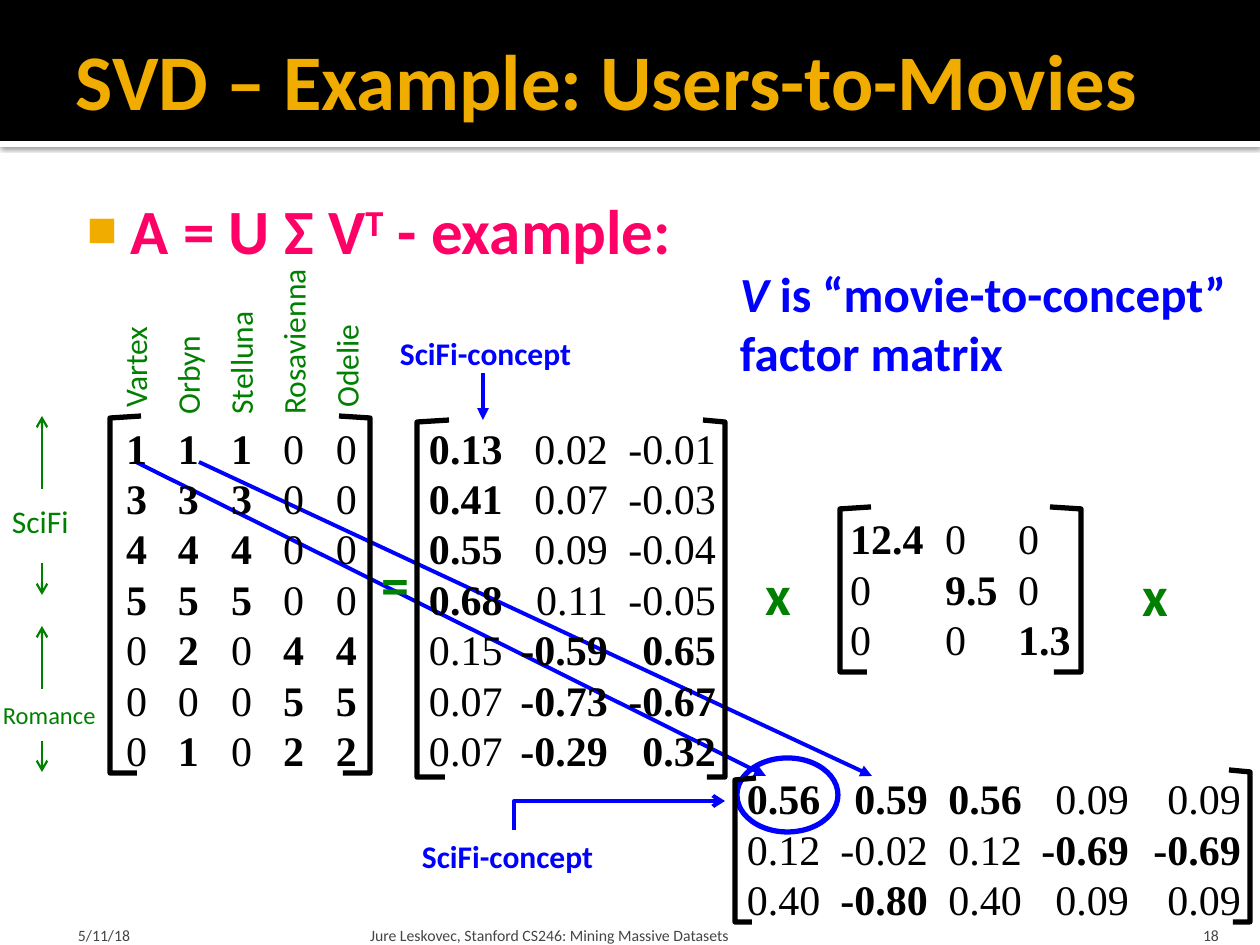
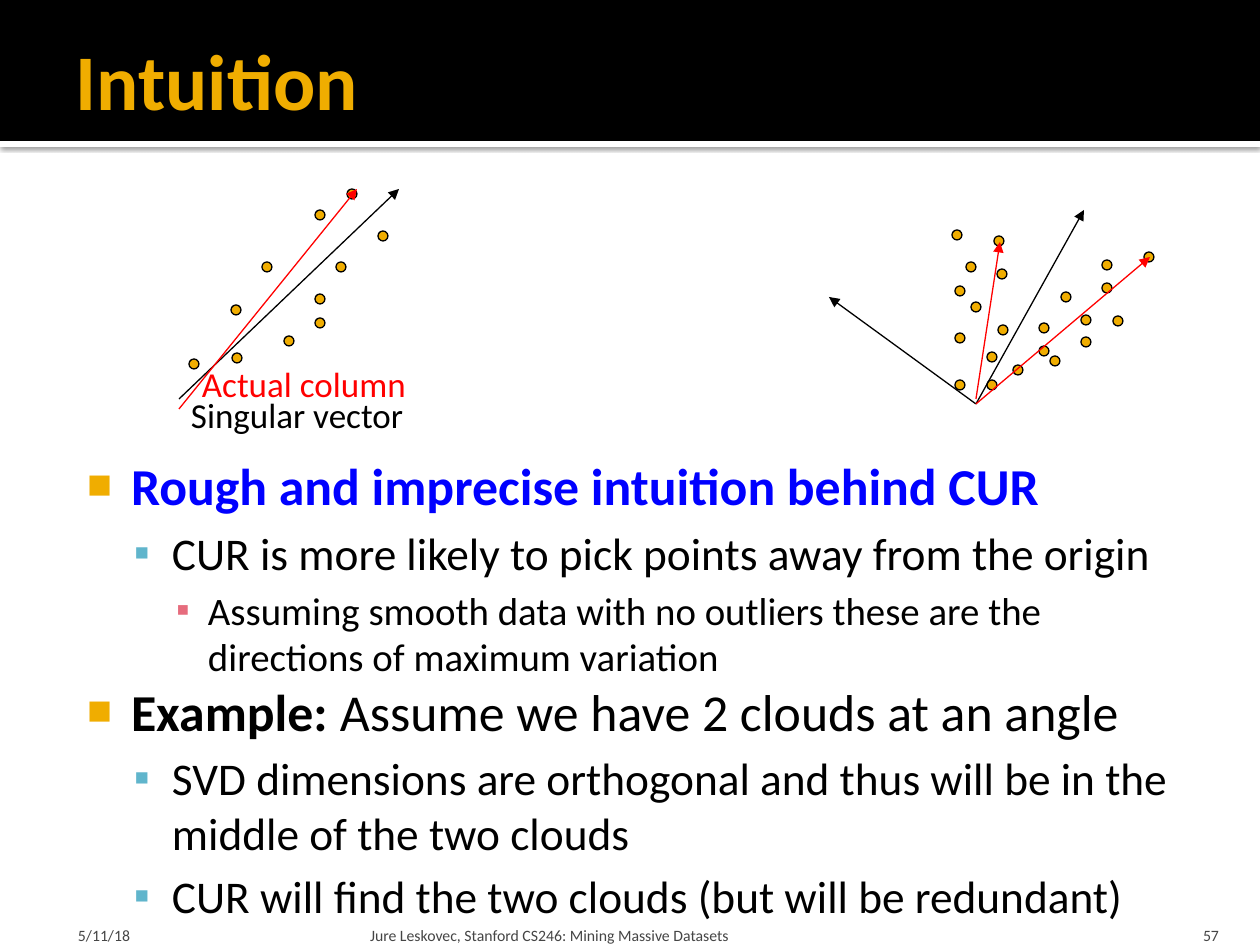
from lxml import etree
from pptx import Presentation
from pptx import util as u
from pptx.dml.color import RGBColor
from pptx.enum import shapes, text
from pptx.oxml import ns

PX = 914400 // 126
WIDTH, HEIGHT = 1260, 945

BLACK = RGBColor(0, 0, 0)
WHITE = RGBColor(255, 255, 255)
GOLD = RGBColor(0xF0, 0xAD, 0)
TEAL = RGBColor(0x60, 0xB5, 0xCC)
ROSE = RGBColor(0xE6, 0x6C, 0x7D)
PINK = RGBColor(0xFF, 0, 0x66)
BLUE = RGBColor(0, 0, 0xFF)
GREEN = RGBColor(0, 0x80, 0)
RED = RGBColor(0xFF, 0, 0)
GREY = RGBColor(0x45, 0x45, 0x45)

BODY_FONT, MATRIX_FONT = "Calibri", "Times New Roman"
TOP, MIDDLE, BOTTOM = (text.MSO_ANCHOR.TOP, text.MSO_ANCHOR.MIDDLE,
                       text.MSO_ANCHOR.BOTTOM)

# level: left margin, hanging indent, bullet, bullet colour, bullet size, space before
BULLETS = [(60, 44, "■", GOLD, 80, 0),
           (101, 38, "▪", TEAL, 100, 5),
           (137, 32, "▪", ROSE, 100, 4)]


def px(*lengths):
    return [round(length * PX) for length in lengths]


def add_xml(parent, tag, **attributes):
    return etree.SubElement(parent, ns.qn(tag), attributes)


# ---- text ----
def text_box(page, box, anchor=TOP):
    shape = page.shapes.add_textbox(*px(*box))
    frame = shape.text_frame
    frame.word_wrap = True
    frame.vertical_anchor = anchor
    frame.margin_left = frame.margin_right = 0
    frame.margin_top = frame.margin_bottom = 0
    return shape


def next_para(frame):
    first = frame.paragraphs[0]
    return frame.add_paragraph() if first.runs else first


def add_span(para, words, size, color, bold=False, italic=False, font=BODY_FONT):
    span = para.add_run()
    span.text = words
    span.font.name, span.font.size = font, u.Pt(size)
    span.font.bold, span.font.italic = bold, italic
    span.font.color.rgb = color
    return span


def label(page, box, words, size, color, bold=False, anchor=MIDDLE):
    shape = text_box(page, box, anchor)
    para = shape.text_frame.paragraphs[0]
    add_span(para, words, size, color, bold)
    return para


def bullet_para(frame, level):
    margin, hang, sign, color, percent, space = BULLETS[level]
    para = next_para(frame)
    props = para._p.get_or_add_pPr()
    props.set("marL", str(margin * PX))
    props.set("indent", str(-hang * PX))
    add_xml(add_xml(props, "a:buClr"), "a:srgbClr", val=str(color))
    add_xml(props, "a:buSzPct", val=str(percent * 1000))
    add_xml(props, "a:buFont", typeface=MATRIX_FONT)
    add_xml(props, "a:buChar", char=sign)
    if space:
        para.space_before = u.Pt(space)
    return para


# ---- lines and shapes ----
def style_line(shape, color, width, head=None):
    shape.line.color.rgb = color
    shape.line.width = u.Pt(width)
    if head:
        add_xml(shape.line._get_or_add_ln(), "a:tailEnd", type=head)


def arrow(page, start, end, color, width, head="triangle"):
    line = page.shapes.add_connector(shapes.MSO_CONNECTOR.STRAIGHT,
                                     *px(*start, *end))
    style_line(line, color, width, head)
    add_xml(line._element.spPr, "a:effectLst")


def polyline(page, points, color, width, head=None):
    start, *rest = [px(*point) for point in points]
    builder = page.shapes.build_freeform(*start, scale=1.0)
    builder.add_line_segments(rest, close=False)
    shape = builder.convert_to_shape()
    shape.fill.background()
    shape.shadow.inherit = False
    style_line(shape, color, width, head)


def preset(page, kind, box, fill=None, line=None, width=0.75):
    shape = page.shapes.add_shape(kind, *px(*box))
    shape.shadow.inherit = False
    if fill is None:
        shape.fill.background()
    else:
        shape.fill.solid()
        shape.fill.fore_color.rgb = fill
    if line is None:
        shape.line.fill.background()
    else:
        style_line(shape, line, width)
    return shape


# ---- shared frame of every slide ----
def new_page(deck, title, number):
    page = deck.slides.add_slide(deck.slide_layouts[6])
    rule = preset(page, shapes.MSO_SHAPE.RECTANGLE, (0, 141, WIDTH, 6), WHITE)
    effects = rule._element.spPr.find(ns.qn("a:effectLst"))
    shadow = add_xml(effects, "a:outerShdw", blurRad="31750", dist="10160",
                     dir="5400000", rotWithShape="0")
    add_xml(add_xml(shadow, "a:srgbClr", val="000000"), "a:alpha", val="60000")
    preset(page, shapes.MSO_SHAPE.RECTANGLE, (0, 0, WIDTH, 141), BLACK)
    label(page, (76, 17, 1115, 124), title, 45, GOLD, True)

    footer = [(78, 270, "5/11/18"),
              (370, 740, "Jure Leskovec, Stanford CS246: Mining Massive Datasets"),
              (1143, 76, str(number))]
    for left, width, words in footer:
        para = label(page, (left, 907, width, 38), words, 9, GREY, anchor=BOTTOM)
    para.alignment = text.PP_ALIGN.RIGHT
    return page


# ---- slide 18: matrix product ----
def matrix(page, box, rows, stops, align, pad, arms, left_drop=0):
    """Bracketed matrix; a cell that starts with * is bold."""
    left, top, width, height = box
    right, bottom = left + width, top + height
    for spine, side, arm, drop in ((left, 1, arms[0], left_drop),
                                   (right, -1, arms[1], 0)):
        polyline(page, [(spine + side * arm, top + drop),
                        (spine, top + drop + 2),
                        (spine, bottom),
                        (spine + side * (arm - 4), bottom)], BLACK, 3)

    frame = text_box(page, (left + pad[0], top + pad[1],
                            width - pad[0], height)).text_frame
    for row in rows:
        para = next_para(frame)
        tabs = add_xml(para._p.get_or_add_pPr(), "a:tabLst")
        for stop in stops:
            add_xml(tabs, "a:tab", pos=str(stop * PX), algn=align)
        for column, cell in enumerate(row.split()):
            words = ("\t" if column else "") + cell.lstrip("*")
            add_span(para, words, 24, BLACK, cell.startswith("*"),
                     font=MATRIX_FONT)


def movie_names(page, box):
    shape = text_box(page, box)
    shape.rotation = 270
    for name, indent in (("Vartex", 7), ("Orbyn", 0), ("Stelluna", 0),
                         ("Rosavienna", 0), ("Odelie", 7)):
        para = next_para(shape.text_frame)
        para._p.get_or_add_pPr().set("marL", str(indent * PX))
        para.line_spacing = 1.4
        add_span(para, name, 18, GREEN)


def genre_range(page, box, name, size, name_box, gap):
    """Vertical double arrow, broken by the genre name."""
    left, top, height = box
    arrow(page, (left, top + gap[0]), (left, top), GREEN, 1.25, "arrow")
    arrow(page, (left, top + gap[1]), (left, top + height), GREEN, 1.25, "arrow")
    label(page, name_box, name, size, GREEN)


def svd_page(deck):
    page = new_page(deck, "SVD – Example: Users-to-Movies", 18)

    # Formula
    frame = text_box(page, (71, 192, 1050, 150)).text_frame
    para = bullet_para(frame, 0)
    add_span(para, "A = U Σ V", 36, PINK, True)
    power = add_span(para, "T", 36, PINK, True)
    power._r.get_or_add_rPr().set("baseline", "30000")
    add_span(para, " - example:", 36, PINK, True)

    # Meaning of V
    frame = text_box(page, (740, 257, 515, 131), MIDDLE).text_frame
    para = next_para(frame)
    add_span(para, "V", 28, BLUE, True, True)
    add_span(para, " is “movie-to-concept”", 28, BLUE, True)
    add_span(next_para(frame), "factor matrix", 28, BLUE, True)

    # Concept pointers
    for left, top in ((400, 328), (422, 831)):
        label(page, (left, top, 190, 50), "SciFi-concept", 18, BLUE, True)
    arrow(page, (483, 373), (483, 420), BLUE, 2.25)
    polyline(page, [(514, 830), (514, 801), (725, 801)], BLUE, 2.25, "arrow")
    for start, end in ((136, 766), (199, 872)):
        arrow(page, (start, 462), (end, 776), BLUE, 2.25)
    preset(page, shapes.MSO_SHAPE.OVAL, (737, 758, 101, 74), line=BLUE, width=3)

    # Row and column names
    genre_range(page, (42, 416, 179), "SciFi", 18, (12, 496, 75, 50), (73, 147))
    genre_range(page, (42, 626, 146), "Romance", 14, (3, 693, 104, 43), (63, 115))
    movie_names(page, (146, 206, 163, 254))

    # Factors
    matrix(page, (110, 416, 260, 357),
           ["*1 *1 *1 0 0", "*3 *3 *3 0 0", "*4 *4 *4 0 0", "*5 *5 *5 0 0",
            "0 *2 0 *4 *4", "0 0 0 *5 *5", "0 *1 0 *2 *2"],
           [52, 105, 157, 210], "l", (16, 6), (31, 31))
    matrix(page, (417, 420, 308, 357),
           ["*0.13 0.02 -0.01", "*0.41 0.07 -0.03", "*0.55 0.09 -0.04",
            "*0.68 0.11 -0.05", "0.15 *-0.59 *0.65", "0.07 *-0.73 *-0.67",
            "0.07 *-0.29 *0.32"],
           [179, 287], "r", (12, 2), (32, 22))
    matrix(page, (840, 507, 241, 165),
           ["*12.4 0 0", "0 *9.5 0", "0 0 *1.3"],
           [95, 168], "l", (10, 6), (31, 31))
    matrix(page, (735, 770, 515, 152),
           ["*0.56 *0.59 *0.56 0.09 0.09", "0.12 -0.02 0.12 *-0.69 *-0.69",
            "0.40 *-0.80 0.40 0.09 0.09"],
           [181, 275, 382, 494], "r", (12, 3), (21, 21), left_drop=8)
    for sign, left, top in (("=", 382, 543), ("x", 766, 553), ("x", 1143, 554)):
        label(page, (left, top, 40, 81), sign, 32, GREEN, True)


# ---- slide 57: point clouds ----
def point_cloud(page, corner, points, axes):
    left, top = corner
    for x, y in points:
        preset(page, shapes.MSO_SHAPE.OVAL, (left + x, top + y, 10, 10),
               GOLD, BLACK)
    for (x1, y1), (x2, y2), color in axes:
        arrow(page, (left + x1, top + y1), (left + x2, top + y2), color, 0.75)


def intuition_page(deck):
    page = new_page(deck, "Intuition", 57)

    # Text
    frame = text_box(page, (71, 454, 1115, 470)).text_frame
    outline = [(0, "Rough and imprecise intuition behind CUR", "", BLUE),
               (1, "", "CUR is more likely to pick points away from the origin",
                BLACK),
               (2, "", "Assuming smooth data with no outliers these are the "
                       "directions of maximum variation", BLACK),
               (0, "Example:", " Assume we have 2 clouds at an angle", BLACK),
               (1, "", "SVD dimensions are orthogonal and thus will be in the "
                       "middle of the two clouds", BLACK),
               (1, "", "CUR will find the two clouds (but will be redundant)",
                BLACK)]
    sizes = [29.6, 25.9, 22.2]
    for level, strong, plain, color in outline:
        para = bullet_para(frame, level)
        for words, bold in ((strong, True), (plain, False)):
            if words:
                add_span(para, words, sizes[level], color, bold)

    # One cloud with its two directions
    label(page, (191, 393, 250, 44), "Singular vector", 20, BLACK, anchor=TOP)
    label(page, (202, 363, 250, 44), "Actual column", 20, RED, anchor=TOP)
    point_cloud(page, (179, 189),
                [(10, 170), (83, 73), (199, 42), (53, 164), (52, 116),
                 (105, 147), (157, 73), (136, 21), (136, 105), (168, 0),
                 (136, 129)],
                [((0, 210), (220, 0), BLACK), ((0, 220), (178, 0), RED)])

    # Two clouds at an angle
    origin = (147, 194)
    point_cloud(page, (829, 210),
                [(126, 170), (137, 52), (315, 42), (158, 170), (169, 115),
                 (221, 146), (273, 73), (123, 20), (252, 105), (165, 26),
                 (252, 127), (284, 106), (142, 92), (273, 50), (126, 76),
                 (126, 123), (184, 155), (232, 82), (158, 142), (210, 113),
                 (168, 59), (210, 136)],
                [(origin, (255, 0), BLACK), (origin, (0, 87), BLACK),
                 (origin, (321, 47), RED), ((147, 189), (171, 32), RED)])


def main():
    deck = Presentation()
    deck.slide_width, deck.slide_height = px(WIDTH, HEIGHT)
    svd_page(deck)
    intuition_page(deck)
    deck.save("out.pptx")


if __name__ == "__main__":
    main()
